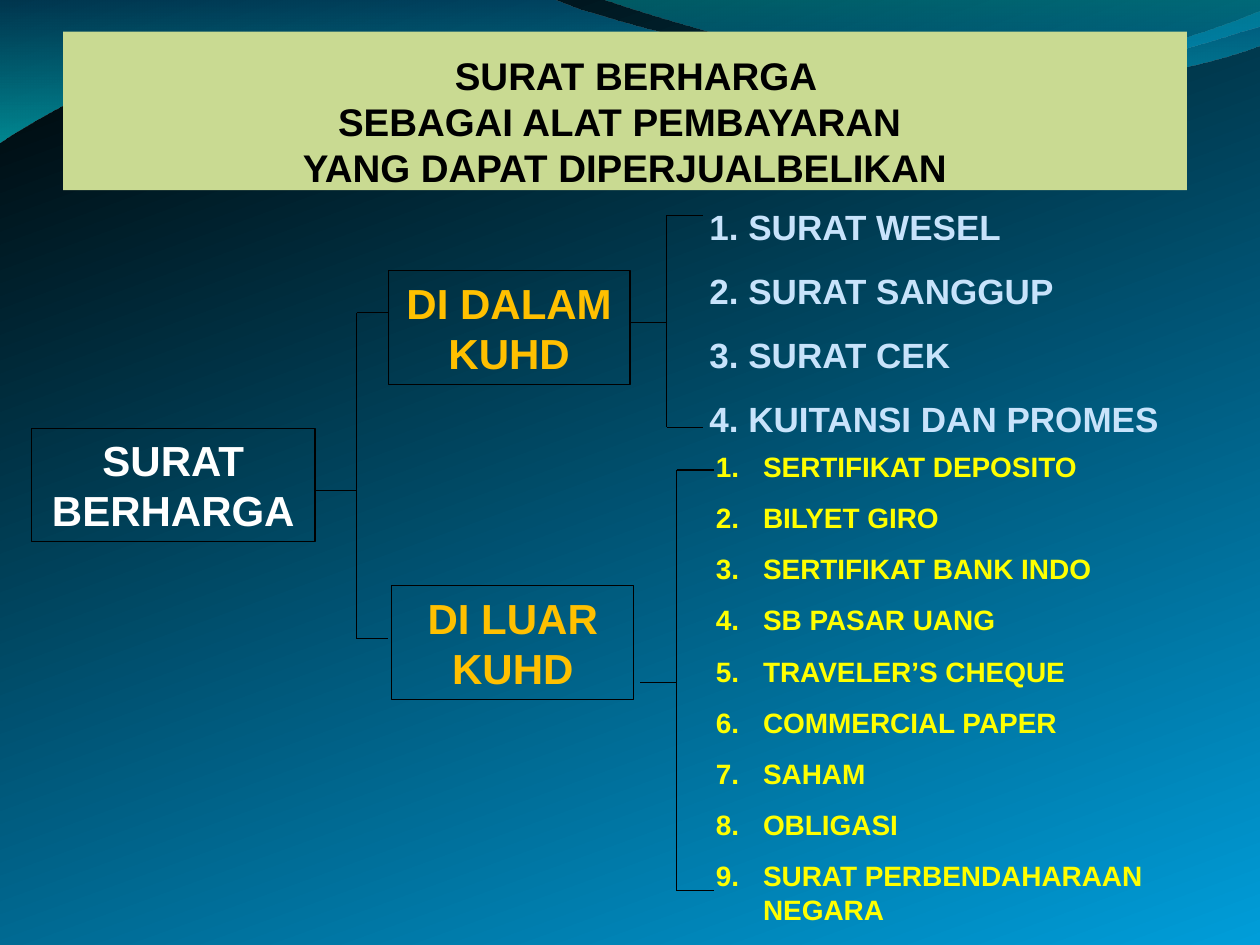
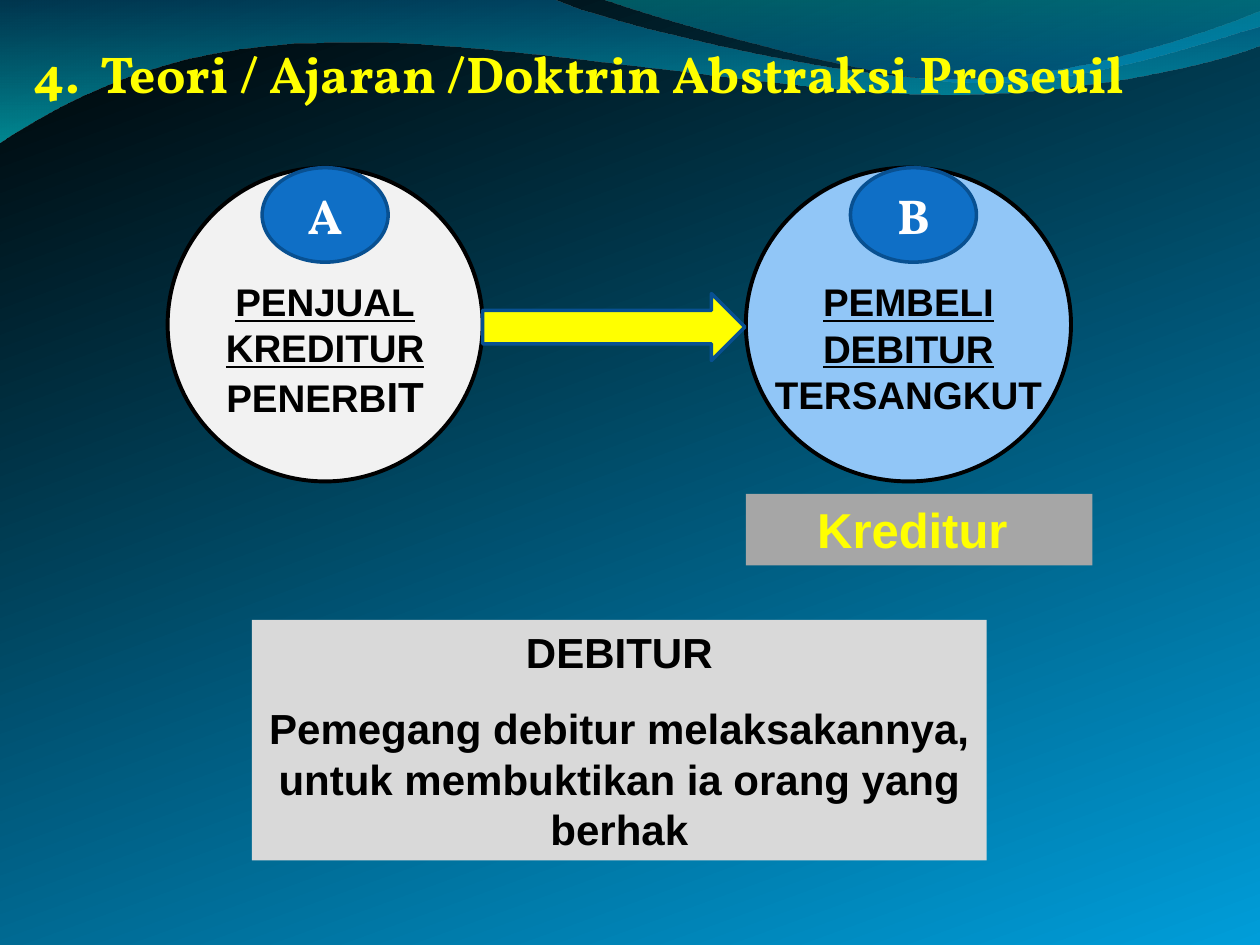
from lxml import etree
from pptx import Presentation
from pptx.dml.color import RGBColor
from pptx.enum.shapes import MSO_CONNECTOR, MSO_SHAPE
from pptx.enum.text import MSO_ANCHOR, MSO_AUTO_SIZE, PP_ALIGN
from pptx.oxml.ns import qn
from pptx.util import Pt

RECTANGLE, OVAL, RIGHT_ARROW = MSO_SHAPE.RECTANGLE, MSO_SHAPE.OVAL, MSO_SHAPE.RIGHT_ARROW
STRAIGHT = MSO_CONNECTOR.STRAIGHT
TOP, MIDDLE, BOTTOM = MSO_ANCHOR.TOP, MSO_ANCHOR.MIDDLE, MSO_ANCHOR.BOTTOM
LEFT, CENTER = PP_ALIGN.LEFT, PP_ALIGN.CENTER
NO_FIT = MSO_AUTO_SIZE.NONE
TWO_CONTENT, TITLE_ONLY = 3, 5

BLACK, WHITE, YELLOW, GOLD = "000000", "FFFFFF", "FFFF00", "FFC000"
ICE, LIME, SKY, PALE = "C8E3FB", "C9DA92", "91C6F7", "F2F2F2"
BLUE, NAVY, GREY, SILVER = "0F6FC6", "085091", "A6A6A6", "D9D9D9"
SANS, SERIF = "Arial", "Vollkorn"

WIDE_WAVE = [
    (0, 0), (316.8, 0), (342.7, 12.2, 478.1, 45.4, 545.8, 45.4),
    (614.2, 45.4, 689.8, 18.7, 720, 6.5), (720, 25.9),
    (707.8, 31.7, 626.4, 54.7, 537.1, 54), (447.8, 54, 275, 20.2, 185, 24.5),
    (92.9, 25.2, 33.1, 59.8, 0, 81.4),
]
SHORT_WAVE = [
    (344.9, 0), (366.5, 7.9, 491, 44.6, 553.7, 46.8),
    (616.3, 49.7, 691.9, 23, 720, 15.1), (720, 0),
]


def rgb(code):
    """Turn a hex string into a colour."""
    return RGBColor.from_string(code)


def set_gradient(fill, colours, angle):
    """Fill with two colours along a clockwise angle."""
    fill.gradient()
    fill.gradient_angle = 360 - angle
    for stop, colour, position in zip(fill.gradient_stops, colours, (0, 1)):
        stop.color.rgb = rgb(colour)
        stop.position = position


def trace(steps, pieces=16):
    """Turn lines and cubic curves into a list of points."""
    points = [steps[0]]
    for step in steps[1:]:
        if len(step) == 2:
            points.append(step)
            continue
        corners = [points[-1], step[:2], step[2:4], step[4:]]
        for piece in range(1, pieces + 1):
            t = piece / pieces
            weights = ((1 - t) ** 3, 3 * t * (1 - t) ** 2, 3 * t * t * (1 - t), t ** 3)
            points.append(tuple(sum(w * corner[axis] for w, corner in zip(weights, corners))
                                for axis in (0, 1)))
    return [(Pt(x), Pt(y)) for x, y in points]


def add_wave(deck, page, steps, colours, opacities, order):
    """Draw a translucent wave and place it on the master."""
    points = trace(steps)
    builder = page.shapes.build_freeform(*points[0])
    builder.add_line_segments(points[1:], close=True)
    wave = builder.convert_to_shape()
    wave.shadow.inherit = False
    wave.line.fill.background()
    set_gradient(wave.fill, colours, 90)
    for colour, opacity in zip(wave.element.spPr.iter(qn("a:srgbClr")), opacities):
        etree.SubElement(colour, qn("a:alpha"), val=str(opacity * 1000))
    deck.slide_master.element.cSld.spTree.insert(2 + order, wave.element)


def style_master(deck, page):
    """Give all slides the dark gradient and the waves."""
    set_gradient(deck.slide_master.background.fill, (BLACK, "009DD9"), 70)
    add_wave(deck, page, WIDE_WAVE, ("0079AF", "00EBF8"), (45, 55), 0)
    add_wave(deck, page, SHORT_WAVE, ("00ADB6", "009BE5"), (45, 30), 1)


def add_span(para, text, size, colour, font=SANS, underline=False):
    """Add one bold run."""
    span = para.add_run()
    span.text = text
    span.font.name = font
    span.font.size = Pt(size)
    span.font.bold = True
    span.font.underline = underline
    span.font.color.rgb = rgb(colour)


def add_paras(frame, count, align=CENTER, before=0):
    """Prepare paragraphs, spaced apart after the first."""
    paras = [frame.paragraphs[0]] + [frame.add_paragraph() for _ in range(count - 1)]
    for index, para in enumerate(paras):
        para.alignment = align
        para.space_before = Pt(before if index else 0)
    return paras


def write(frame, lines, size, colour, font=SANS, align=CENTER, before=0):
    """Write each line as a paragraph in one style."""
    paras = add_paras(frame, len(lines), align, before)
    for para, line in zip(paras, lines):
        add_span(para, line, size, colour, font)
    return paras


def set_indent(para, margin, first):
    """Set the left margin and first-line indent."""
    properties = para._p.get_or_add_pPr()
    properties.set("marL", str(Pt(margin)))
    properties.set("indent", str(Pt(first)))
    return properties


def place(holder, left, top, width, height, anchor=TOP):
    """Move a placeholder and return its text frame."""
    holder.left, holder.top = Pt(left), Pt(top)
    holder.width, holder.height = Pt(width), Pt(height)
    frame = holder.text_frame
    frame.word_wrap = True
    frame.auto_size = NO_FIT
    frame.vertical_anchor = anchor
    return frame


def add_list(holder, area, items, size, colour, before, hanging=0):
    """Fill a body placeholder, numbered when hanging is given."""
    frame = place(holder, *area)
    for para in write(frame, items, size, colour, align=LEFT, before=before):
        properties = set_indent(para, hanging, -hanging)
        if hanging:
            tint = etree.SubElement(properties, qn("a:buClr"))
            etree.SubElement(tint, qn("a:srgbClr"), val=colour)
            etree.SubElement(properties, qn("a:buFont"), typeface=SANS)
            etree.SubElement(properties, qn("a:buAutoNum"), type="arabicPeriod")
        else:
            etree.SubElement(properties, qn("a:buNone"))


def add_box(page, kind, area, fill=None, line=None, weight=0.75, anchor=TOP):
    """Add a preset shape with plain fill and outline."""
    box = page.shapes.add_shape(kind, *(Pt(length) for length in area))
    box.shadow.inherit = False
    if fill:
        box.fill.solid()
        box.fill.fore_color.rgb = rgb(fill)
    else:
        box.fill.background()
    if line:
        box.line.color.rgb = rgb(line)
        box.line.width = Pt(weight)
    else:
        box.line.fill.background()
    box.text_frame.word_wrap = True
    box.text_frame.vertical_anchor = anchor
    return box


def add_line(page, *ends):
    """Draw a thin black line."""
    line = page.shapes.add_connector(STRAIGHT, *(Pt(end) for end in ends))
    line.line.color.rgb = rgb(BLACK)
    line.line.width = Pt(0.75)
    etree.SubElement(line.element.spPr, qn("a:effectLst"))


def add_bracket(page, start, middle, stem, end, top, bottom):
    """Draw a branch from one point to two arms."""
    add_line(page, start, middle, stem, middle)
    add_line(page, stem, top, stem, bottom)
    for height in (top, bottom):
        add_line(page, stem, height, end, height)


def add_party(page, letter, area, fill, lines, top_inset, badge_left):
    """Draw a party as a circle with a lettered badge."""
    circle = add_box(page, OVAL, area, fill, BLACK, 2.25, MIDDLE)
    frame = circle.text_frame
    frame.word_wrap = False
    frame.margin_top = Pt(top_inset)
    for para, spans in zip(add_paras(frame, len(lines)), lines):
        for text, size, underline in spans:
            add_span(para, text, size, BLACK, underline=underline)
    badge = add_box(page, OVAL, (badge_left, 95.8, 72, 54), BLUE, NAVY, 2, MIDDLE)
    write(badge.text_frame, [letter], 28, WHITE, SERIF)


def build_instruments(page):
    """Build the tree of negotiable instruments."""
    title, inside, outside = page.placeholders
    frame = place(title, 36, 18, 642.2, 90.7, BOTTOM)
    frame.margin_left = frame.margin_right = frame.margin_bottom = 0
    title.fill.solid()
    title.fill.fore_color.rgb = rgb(LIME)
    heading = ["SURAT BERHARGA ", "SEBAGAI ALAT PEMBAYARAN ", "YANG DAPAT DIPERJUALBELIKAN"]
    set_indent(write(frame, heading, 22, BLACK)[0], 0, 18)

    for text, left, top, width, colour in (
        ("SURAT BERHARGA", 18, 244.8, 162, WHITE),
        ("DI DALAM KUHD", 221.8, 154.8, 138.2, GOLD),
        ("DI LUAR KUHD", 223.9, 334.8, 138.2, GOLD),
    ):
        box = add_box(page, RECTANGLE, (left, top, width, 64.8), line=BLACK)
        write(box.text_frame, [text], 24, colour)

    add_bracket(page, 180, 280.1, 203.8, 221.8, 178.6, 365)
    add_bracket(page, 360, 184.3, 380.9, 401.8, 123.1, 244.1)
    add_bracket(page, 365.8, 390.2, 386.6, 408.2, 268.6, 509)

    add_list(inside, (398.2, 113.8, 295.2, 141.1),
             ["1. SURAT WESEL", "2. SURAT SANGGUP", "3. SURAT CEK",
              "4. KUITANSI DAN PROMES"], 20, ICE, 12.5)
    add_list(outside, (401.8, 253.4, 318, 279.4),
             ["SERTIFIKAT DEPOSITO", "BILYET GIRO", "SERTIFIKAT BANK INDO",
              "SB PASAR UANG", "TRAVELER’S CHEQUE", "COMMERCIAL PAPER", "SAHAM",
              "OBLIGASI", "SURAT PERBENDAHARAAN NEGARA"], 16, YELLOW, 10, 27)


def build_doctrine(page):
    """Build the diagram of seller and buyer."""
    frame = place(page.shapes.title, 12.2, 30.2, 689.8, 48.2)
    para = write(frame, ["4.\tTeori / Ajaran /Doktrin Abstraksi Proseuil"],
                 29.6, YELLOW, SERIF, LEFT)[0]
    para.line_spacing = 0.7
    set_indent(para, 38, -38)

    creditor = add_box(page, RECTANGLE, (426.2, 282.2, 198, 41), GREY)
    write(creditor.text_frame, ["Kreditur "], 28, YELLOW)
    debtor = add_box(page, RECTANGLE, (144, 354.2, 419.8, 137.5), SILVER)
    write(debtor.text_frame,
          ["DEBITUR", "Pemegang debitur melaksakannya, untuk membuktikan ia orang yang berhak"],
          24, BLACK, before=15)

    add_party(page, "A", (95.8, 95.8, 180, 179.3), PALE,
              [[("PENJUAL", 22, True)], [("KREDITUR", 22, True)],
               [("PENERB", 22, False), ("IT", 24, False)]], 32, 149.8)
    add_party(page, "B", (426.2, 95.8, 185.8, 179.3), SKY,
              [[("PEMBELI", 22, True)], [("DEBITUR", 22, True)],
               [("TERSANGKUT", 22, False)]], 30, 486)
    add_box(page, RIGHT_ARROW, (275.8, 167.8, 149.8, 38.2), YELLOW, NAVY, 2)


def main():
    """Build and save the deck."""
    deck = Presentation()
    deck.slide_width, deck.slide_height = Pt(720), Pt(540)
    instruments = deck.slides.add_slide(deck.slide_layouts[TWO_CONTENT])
    doctrine = deck.slides.add_slide(deck.slide_layouts[TITLE_ONLY])
    style_master(deck, instruments)
    build_instruments(instruments)
    build_doctrine(doctrine)
    deck.save("out.pptx")


if __name__ == "__main__":
    main()
